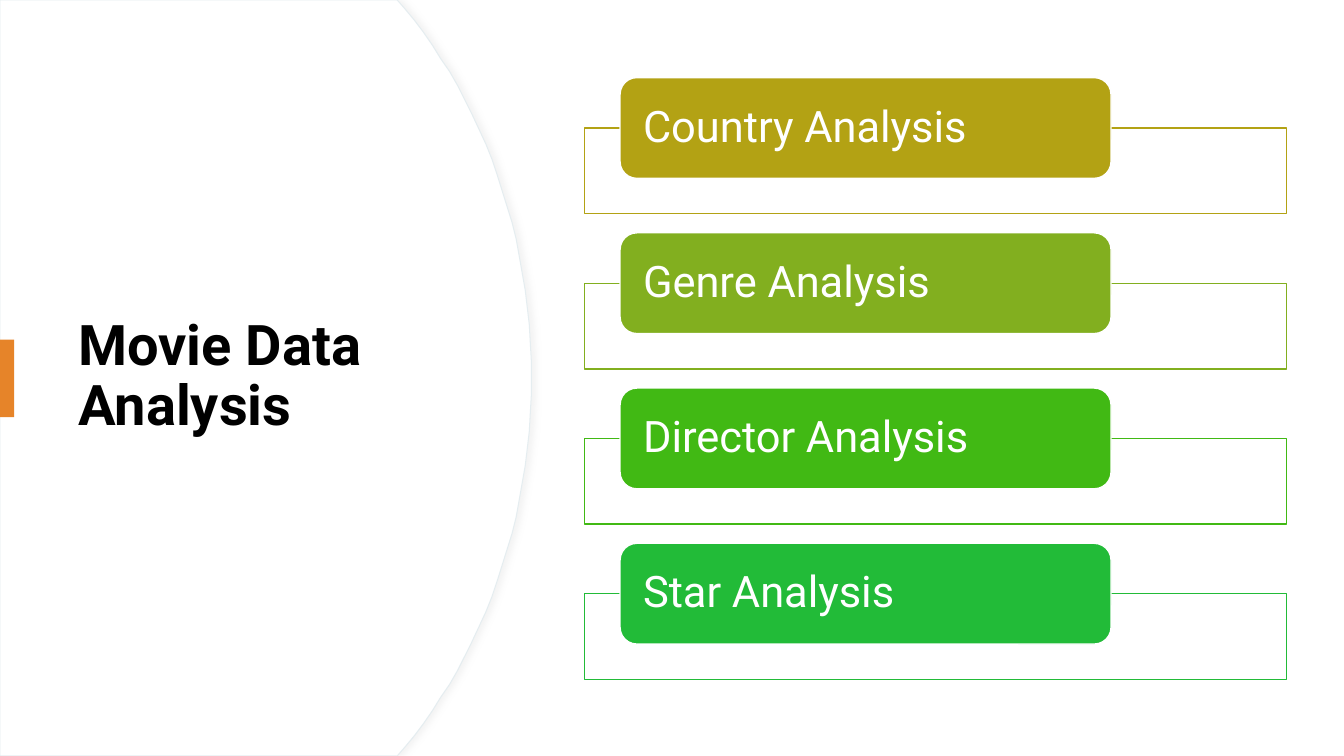
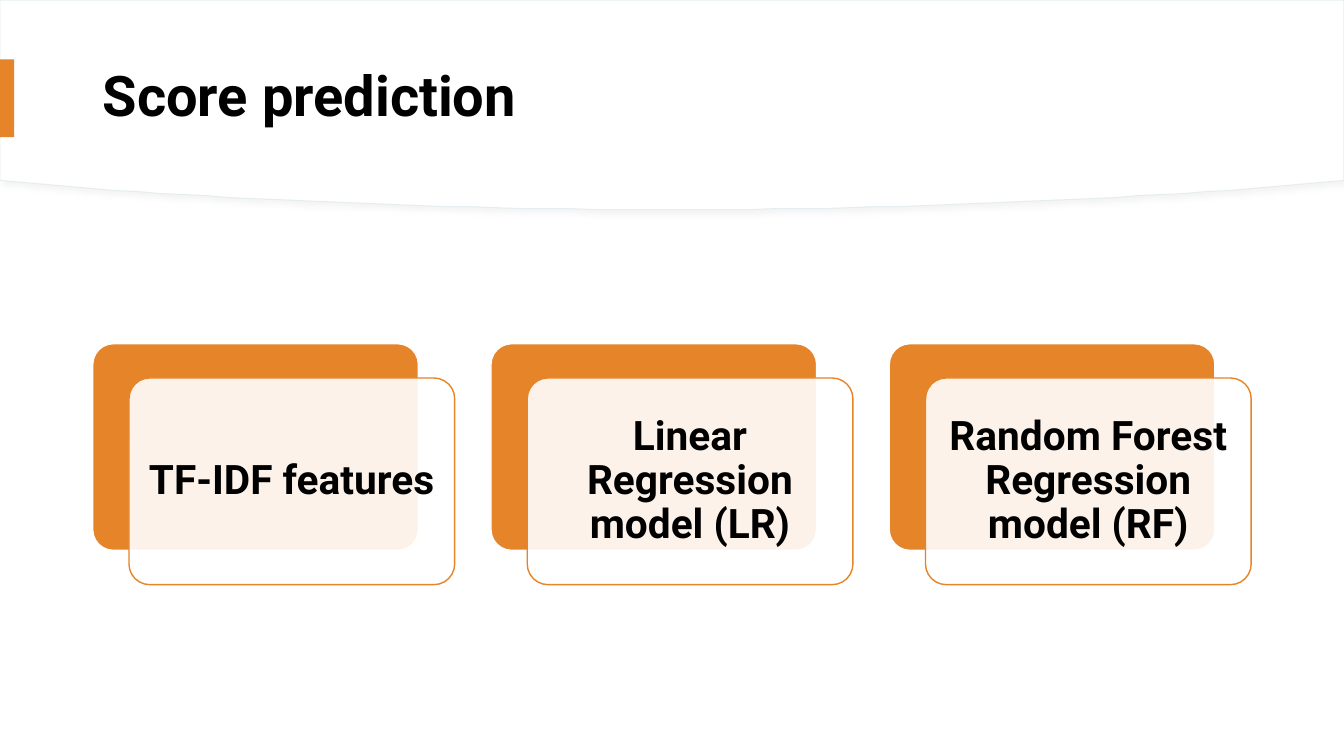
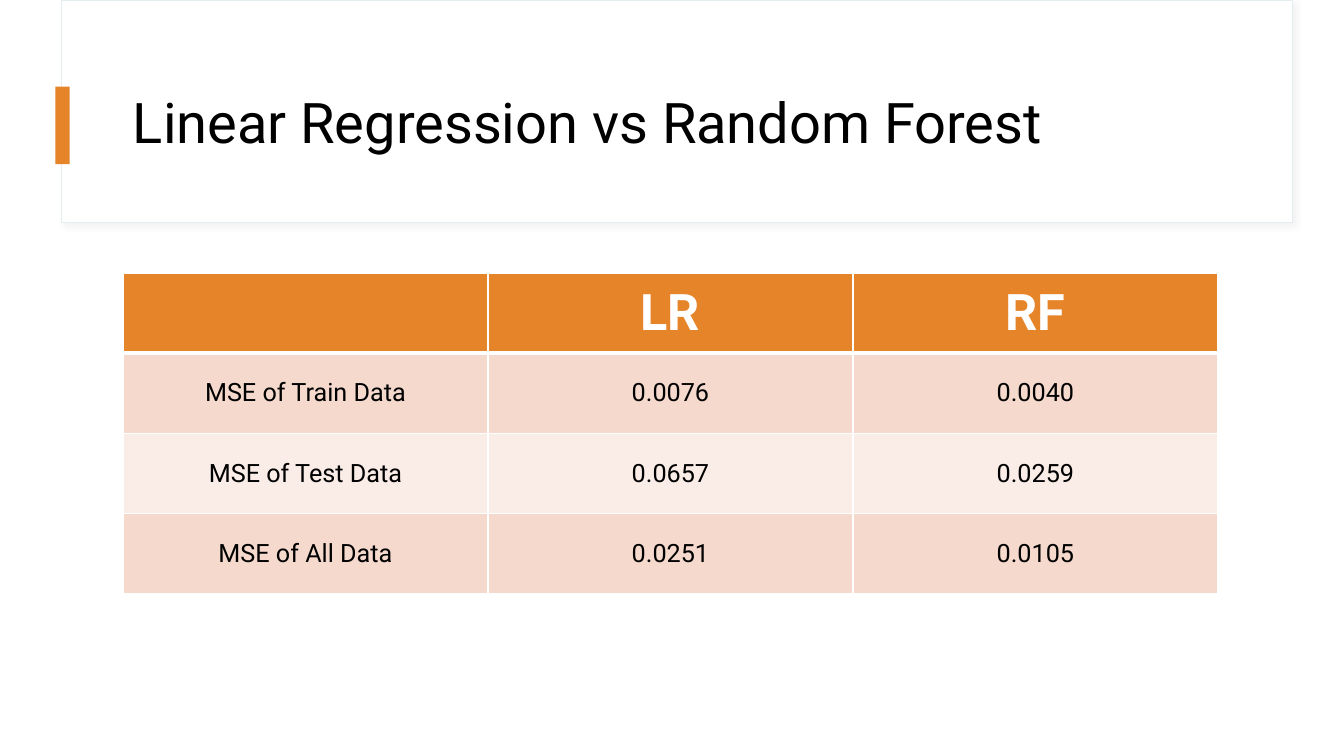
"""Build three slides: movie data analyses, score prediction models and their errors."""
import pptx
import pptx.dml.color
import pptx.enum.shapes
import pptx.enum.text
import pptx.oxml
import pptx.oxml.ns
import pptx.util

PX = 9144
FONT = "Roboto"
COLORS = {
    "white": "FFFFFF", "black": "000000", "accent": "E68429",
    "edge": "E5EDF0", "shade": "D9D9D9",
    "olive": "B3A214", "lime": "82AF1F", "green": "41B914", "emerald": "22BB38",
    "band_dark": "F5D9CD", "band_light": "FAEDE8",
}
TITLES = [
    {"text": "Movie Data Analysis", "box": (68, 127, 394, 495), "bold": True, "bar": (0, 337)},
    {"text": "Score prediction", "box": (92, 28, 1150, 139), "bold": True, "bar": (0, 59)},
    {"text": "Linear Regression vs Random Forest", "box": (122, 60, 1112, 129), "bold": False,
     "bar": (55, 86)},
]
SIDE_PANEL = {
    "start": (0, 0), "shadow_angle": 0,
    "steps": [[(394, 0)], [(401, 8)], [(479, 102), (527, 232), (527, 375)],
              [(527, 518), (479, 648), (401, 742)], [(394, 750)], [(0, 750)]],
}
TOP_PANEL = {
    "start": (0, 0), "shadow_angle": 45,
    "steps": [[(1333, 0)], [(1333, 179)], [(1242, 187)], [(1065, 200), (871, 208), (667, 208)],
              [(463, 208), (268, 200), (91, 187)], [(0, 179)]],
}
ANALYSES = [
    ("Country Analysis", "olive"),
    ("Genre Analysis", "lime"),
    ("Director Analysis", "green"),
    ("Star Analysis", "emerald"),
]
MODELS = ["TF-IDF features", "Linear Regression model (LR)", "Random Forest Regression model (RF)"]
ERRORS = [
    ("", "LR", "RF"),
    ("MSE of Train Data", "0.0076", "0.0040"),
    ("MSE of Test Data", "0.0657", "0.0259"),
    ("MSE of All Data", "0.0251", "0.0105"),
]

SHAPE = pptx.enum.shapes.MSO_SHAPE
ALIGN = pptx.enum.text.PP_ALIGN
MIDDLE = pptx.enum.text.MSO_ANCHOR.MIDDLE


def rgb(name):
    return pptx.dml.color.RGBColor.from_string(COLORS[name])


def px(*values):
    return [round(v * PX) for v in values]


def xml(text):
    return pptx.oxml.parse_xml(text.replace(">", f" {pptx.oxml.ns.nsdecls('a')}>", 1))


def paint(sp, fill, line=None, width=1, alpha=None):
    sp.shadow.inherit = False
    sp.fill.solid()
    sp.fill.fore_color.rgb = rgb(fill)
    if alpha:
        color = sp.fill._xPr.find(".//" + pptx.oxml.ns.qn("a:srgbClr"))
        color.append(xml(f'<a:alpha val="{alpha * 1000}"></a:alpha>'))
    if line:
        sp.line.color.rgb = rgb(line)
        sp.line.width = pptx.util.Pt(width)
    else:
        sp.line.fill.background()
    return sp


def add_box(s, kind, box, fill, line=None, alpha=None, corner=None):
    sp = s.shapes.add_shape(kind, *px(*box))
    if corner is not None:
        sp.adjustments[0] = corner
    return paint(sp, fill, line, alpha=alpha)


def style(p, size, color, bold=False, align=ALIGN.LEFT):
    p.alignment = align
    p.font.name, p.font.size, p.font.bold = FONT, pptx.util.Pt(size), bold
    p.font.color.rgb = rgb(color)


def write(sp, text, size, color, bold=False, align=ALIGN.LEFT, inset=(10, 5)):
    tf = sp.text_frame
    tf.word_wrap = True
    tf.vertical_anchor = MIDDLE
    tf.margin_left = tf.margin_right = inset[0] * PX
    tf.margin_top = tf.margin_bottom = inset[1] * PX
    p = tf.paragraphs[0]
    p.text = text
    p.line_spacing = 0.9
    style(p, size, color, bold, align)


def as_panel(sp, angle):
    paint(sp, "white", "edge", 0.75)
    effects = sp._element.spPr.find(pptx.oxml.ns.qn("a:effectLst"))
    effects.append(xml(
        f'<a:outerShdw blurRad="50800" dist="38100" dir="{angle * 60000}" algn="tl" '
        f'rotWithShape="0"><a:srgbClr val="{COLORS["shade"]}"><a:alpha val="30000"/>'
        '</a:srgbClr></a:outerShdw>'))


def bezier(points, count=24):
    for i in range(1, count + 1):
        t = i / count
        weights = ((1 - t) ** 3, 3 * t * (1 - t) ** 2, 3 * t * t * (1 - t), t ** 3)
        yield tuple(sum(w * pt[axis] for w, pt in zip(weights, points)) for axis in (0, 1))


def add_curved_panel(s, panel):
    outline = [panel["start"]]
    for step in panel["steps"]:
        outline += step if len(step) == 1 else list(bezier([outline[-1], *step]))
    builder = s.shapes.build_freeform(*outline[0], scale=PX)
    builder.add_line_segments(outline[1:], close=True)
    as_panel(builder.convert_to_shape(), panel["shadow_angle"])


def add_title(s, title):
    write(s.shapes.add_textbox(*px(*title["box"])), title["text"], 40, "black", title["bold"])
    add_box(s, SHAPE.RECTANGLE, (*title["bar"], 14, 77), "accent")


def add_analyses(s):
    for i, (text, color) in enumerate(ANALYSES):
        top = 77 + 154 * i
        add_box(s, SHAPE.RECTANGLE, (580, top + 50, 696, 85), "white", color, alpha=90)
        label = add_box(s, SHAPE.ROUNDED_RECTANGLE, (615, top, 487, 100), color, "white")
        write(label, text, 31, "white", inset=(18, 0))


def add_models(s):
    for i, text in enumerate(MODELS):
        left = 92 + 395 * i
        add_box(s, SHAPE.ROUNDED_RECTANGLE, (left, 341, 323, 205), "accent", "white", corner=0.1)
        card = add_box(s, SHAPE.ROUNDED_RECTANGLE, (left + 36, 375, 323, 205), "white", "accent",
                       alpha=90, corner=0.1)
        write(card, text, 29, "black", True, ALIGN.CENTER, (12, 12))


def add_borders(cell, row):
    widths = {"L": 1, "R": 1, "T": 3 if row == 1 else 1, "B": 3 if row == 0 else 1}
    for side, width in widths.items():
        cell._tc.get_or_add_tcPr().append(xml(
            f'<a:ln{side} w="{width * 12700}"><a:solidFill><a:srgbClr val="{COLORS["white"]}"/>'
            f'</a:solidFill></a:ln{side}>'))


def add_errors(s):
    table = s.shapes.add_table(len(ERRORS), len(ERRORS[0]), *px(122, 271, 1086, 318)).table
    for i, row in enumerate(ERRORS):
        fill = "accent" if i == 0 else "band_dark" if i % 2 else "band_light"
        for j, text in enumerate(row):
            cell = table.cell(i, j)
            add_borders(cell, i)
            cell.fill.solid()
            cell.fill.fore_color.rgb = rgb(fill)
            cell.vertical_anchor = MIDDLE
            cell.text = text
            size, color = (18, "black") if i else (36, "white")
            style(cell.text_frame.paragraphs[0], size, color, i == 0, ALIGN.CENTER)


def main():
    prs = pptx.Presentation()
    prs.slide_width, prs.slide_height = px(1333, 750)
    slides = [prs.slides.add_slide(prs.slide_layouts[6]) for _ in TITLES]
    add_curved_panel(slides[0], SIDE_PANEL)
    add_curved_panel(slides[1], TOP_PANEL)
    as_panel(slides[2].shapes.add_shape(SHAPE.RECTANGLE, *px(61, 0, 1221, 221)), 45)
    for s, title, add_content in zip(slides, TITLES, (add_analyses, add_models, add_errors)):
        add_title(s, title)
        add_content(s)
    prs.save("out.pptx")


if __name__ == "__main__":
    main()
